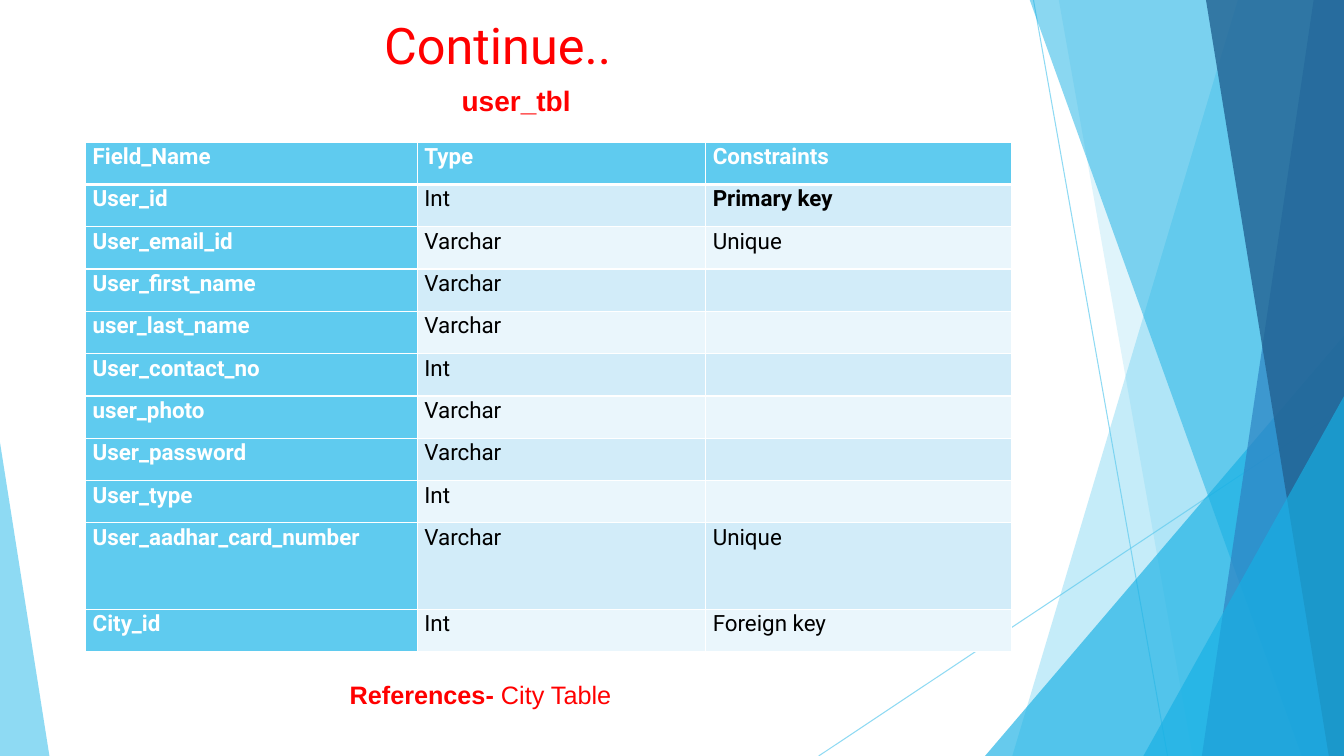
"""Build the user_tbl schema slide."""
from lxml import etree
from pptx import Presentation
from pptx.dml.color import RGBColor
from pptx.enum.shapes import MSO_CONNECTOR, MSO_SHAPE
from pptx.enum.text import MSO_ANCHOR, PP_ALIGN
from pptx.oxml.ns import qn
from pptx.util import Inches, Pt

STRAIGHT = MSO_CONNECTOR.STRAIGHT
TRIANGLE = MSO_SHAPE.ISOSCELES_TRIANGLE
TOP, MIDDLE = MSO_ANCHOR.TOP, MSO_ANCHOR.MIDDLE
LEFT = PP_ALIGN.LEFT
COLORS = {
    "sky": "5FCBEF", "cyan": "17B0E4", "blue": "2E83C3", "navy": "226292",
    "red": "FF0000", "white": "FFFFFF", "black": "000000",
    "band_dark": "D2ECF9", "band_light": "EAF6FC",
}


def paint(fill, color, opacity=100):
    fill.solid()
    fill.fore_color.rgb = RGBColor.from_string(COLORS[color])
    if opacity < 100:
        clr = fill._xPr.find(f".//{qn('a:srgbClr')}")
        etree.SubElement(clr, qn("a:alpha"), val=str(opacity * 1000))


def write(p, text, color, **font):
    r = p.add_run()
    r.text = text
    r.font.color.rgb = RGBColor.from_string(COLORS[color])
    for name, value in font.items():
        setattr(r.font, name, value)


prs = Presentation()
prs.slide_width, prs.slide_height = Inches(13.33), Inches(7.5)
s = prs.slides.add_slide(prs.slide_layouts[5])

for ends in [(10.25, 0, 11.58, 7.5), (13.33, 4.03, 8.12, 7.5)]:
    line = s.shapes.add_connector(STRAIGHT, *map(Inches, ends))
    line.line.width = Pt(0.75)
    paint(line.line.fill, "sky", 70)
    etree.SubElement(line._element.spPr, qn("a:effectLst"))

bands = [
    ("slant", (12.28, 10.04), "sky", 36),
    ("slant", (10.5, 11.83), "sky", 20),
    ("triangle", (9.77, 3.33, 3.56, 4.17, 1), "cyan", 66),
    ("slant", (10.21, 12.91), "cyan", 50),
    ("slant", (13.03, 11.92), "blue", 70),
    ("slant", (11.96, 13.18), "navy", 80),
    ("triangle", (11.34, 3.93, 1.99, 3.57, 1), "cyan", 66),
    ("triangle", (0, 4.39, 0.49, 3.11, 0), "sky", 70),
]
for kind, geometry, color, opacity in bands:
    if kind == "slant":
        top_x, bottom_x = geometry
        corners = [(13.33, -0.01), (13.33, 7.5), (bottom_x, 7.5)]
        outline = s.shapes.build_freeform(Inches(top_x), Inches(-0.01))
        outline.add_line_segments([(Inches(x), Inches(y)) for x, y in corners])
        sp = outline.convert_to_shape()
    else:
        *box, apex = geometry
        sp = s.shapes.add_shape(TRIANGLE, *map(Inches, box))
        sp.adjustments[0] = apex
    sp.shadow.inherit = False
    sp.line.fill.background()
    paint(sp.fill, color, opacity)

title = s.shapes.title
name_box, note_box = [s.shapes.add_textbox(0, 0, 0, 0) for _ in range(2)]
texts = [
    (title, (3.71, 0.09, 5.55, 0.69), TOP, "Roboto", 36, [("Continue..", False)]),
    (name_box, (4.48, 0.78, 2.31, 0.44), MIDDLE, "Arial", 20, [("user_tbl", True)]),
    (note_box, (3.37, 6.69, 3.43, 0.4), TOP, "Arial", 18,
     [("References- ", True), ("City Table", False)]),
]
for sp, box, anchor, face, size, runs in texts:
    sp.left, sp.top, sp.width, sp.height = map(Inches, box)
    tf = sp.text_frame
    tf.word_wrap = True
    tf.vertical_anchor = anchor
    p = tf.paragraphs[0]
    p.alignment = LEFT
    for text, bold in runs:
        write(p, text, "red", name=face, size=Pt(size), bold=bold)

rows = [
    ("Field_Name", "Type", "Constraints"),
    ("User_id", "Int", "Primary key"),
    ("User_email_id", "Varchar", "Unique"),
    ("User_first_name", "Varchar", ""),
    ("user_last_name", "Varchar", ""),
    ("User_contact_no", "Int", ""),
    ("user_photo", "Varchar", ""),
    ("User_password", "Varchar", ""),
    ("User_type", "Int", ""),
    ("User_aadhar_card_number", "Varchar", "Unique"),
    ("City_id", "Int", "Foreign key"),
]
cell_format = {"margin_left": Inches(0.07), "margin_right": Inches(0.07),
               "margin_top": 0, "margin_bottom": 0}
table = s.shapes.add_table(len(rows), 3, Inches(0.85), Inches(1.41),
                           Inches(9.18), Inches(5.06)).table
for column, width in zip(table.columns, (3.29, 2.86, 3.03)):
    column.width = Inches(width)
for i, row in enumerate(rows):
    table.rows[i].height = Inches(0.86 if row[0] == "User_aadhar_card_number" else 0.42)
    for j, text in enumerate(row):
        cell = table.cell(i, j)
        for name, value in cell_format.items():
            setattr(cell, name, value)
        heading = i == 0 or j == 0
        tcPr = cell._tc.get_or_add_tcPr()
        for side in "LRTB":
            thick = (i, side) in [(0, "B"), (1, "T")]
            ln = etree.SubElement(tcPr, qn(f"a:ln{side}"), w=str(Pt(3 if thick else 1)))
            solid = etree.SubElement(ln, qn("a:solidFill"))
            etree.SubElement(solid, qn("a:srgbClr"), val=COLORS["white"])
        paint(cell.fill, "sky" if heading else "band_dark" if i % 2 else "band_light")
        if text:
            p = cell.text_frame.paragraphs[0]
            p.line_spacing = 1.07
            write(p, text, "white" if heading else "black", name="Roboto",
                  size=Pt(16), bold=heading or text == "Primary key")

prs.save("out.pptx")
